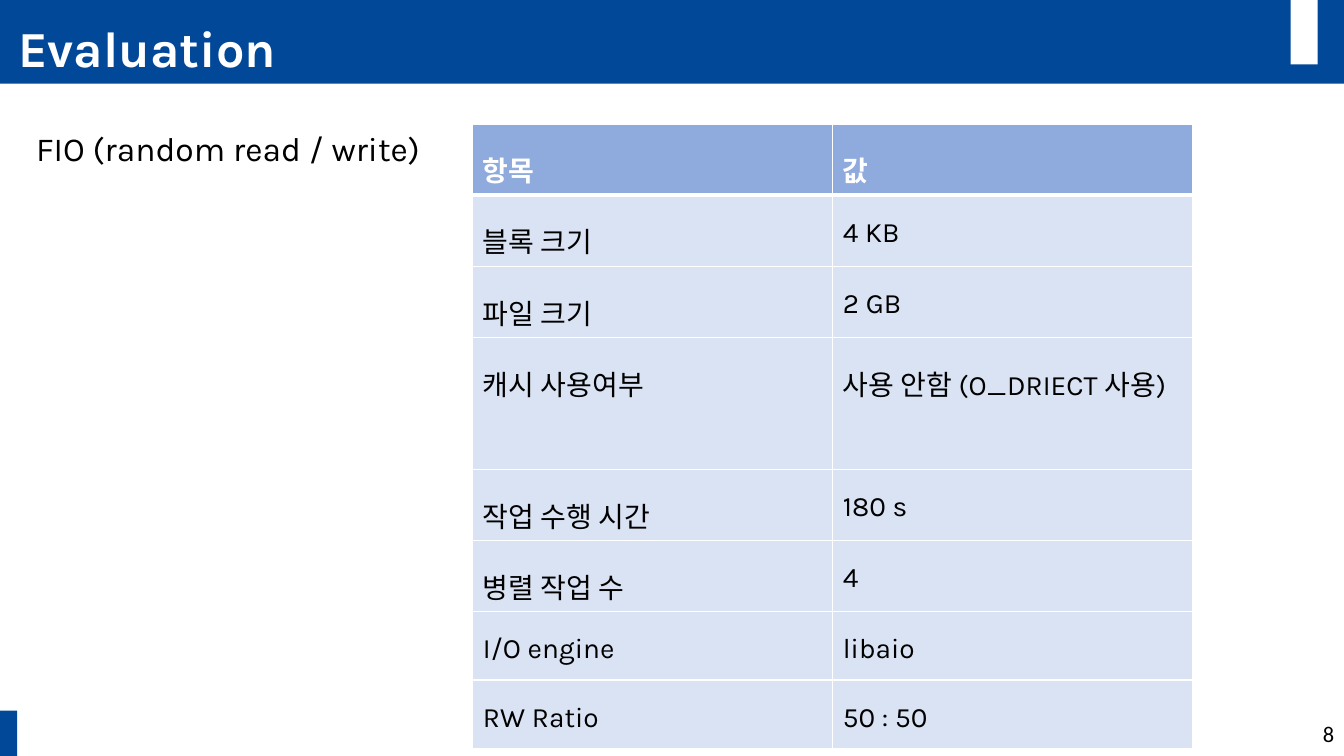
from dataclasses import dataclass

from lxml.etree import SubElement
from pptx import Presentation
from pptx.dml.color import RGBColor
from pptx.enum.shapes import MSO_SHAPE as Preset
from pptx.enum.text import MSO_ANCHOR as Anchor, MSO_AUTO_SIZE as AutoSize, PP_ALIGN as Align
from pptx.oxml.ns import qn
from pptx.util import Inches, Pt

BLUE, WHITE, BLACK = "014898", "FFFFFF", "000000"
HEADER_FILL, ROW_FILL = "8FAADC", "DAE3F3"


@dataclass
class Bar:
    left: float
    top: float
    width: float
    height: float
    color: str


@dataclass
class Setting:
    item: str
    value: str


BARS = [
    Bar(0, 0, 13.33, 0.83, BLUE),
    Bar(12.8, 0, 0.27, 0.64, WHITE),
    Bar(-0.01, 7.05, 0.18, 0.46, BLUE),
]

SETTINGS = [
    Setting("항목", "값"),
    Setting("블록 크기", "4 KB"),
    Setting("파일 크기", "2 GB"),
    Setting("캐시 사용여부", "사용 안함 (O_DRIECT 사용)"),
    Setting("작업 수행 시간", "180 s"),
    Setting("병렬 작업 수", "4"),
    Setting("I/O engine", "libaio"),
    Setting("RW Ratio", "50 : 50"),
]


def paint(fill, color: str) -> None:
    fill.solid()
    fill.fore_color.rgb = RGBColor.from_string(color)


def write(frame, text: str, *, size: float, color: str = BLACK, font: str = "Karla",
          bold: bool = False, align=Align.LEFT, spacing: float = 1.0) -> None:
    paragraph = frame.paragraphs[0]
    paragraph.alignment = align
    paragraph.line_spacing = spacing
    run = paragraph.add_run()
    run.text = text
    run.font.name = font
    run.font.size = Pt(size)
    run.font.bold = bold
    run.font.color.rgb = RGBColor.from_string(color)


def place(shape, left: float, top: float, width: float, height: float) -> None:
    shape.left, shape.top = Inches(left), Inches(top)
    shape.width, shape.height = Inches(width), Inches(height)


def draw_bar(slide, bar: Bar) -> None:
    shape = slide.shapes.add_shape(Preset.RECTANGLE, Inches(bar.left), Inches(bar.top),
                                   Inches(bar.width), Inches(bar.height))
    shape.shadow.inherit = False
    paint(shape.fill, bar.color)
    shape.line.fill.background()


def set_borders(cell, bottom: float) -> None:
    properties = cell._tc.get_or_add_tcPr()
    for side, width in (("L", 1), ("R", 1), ("T", 1), ("B", bottom)):
        line = SubElement(properties, qn(f"a:ln{side}"), w=str(Pt(width)))
        fill = SubElement(line, qn("a:solidFill"))
        SubElement(fill, qn("a:srgbClr"), val=WHITE)


def draw_settings(slide, settings: list[Setting]) -> None:
    table = slide.shapes.add_table(len(settings), 2, Inches(4.69), Inches(1.23),
                                   Inches(7.14), Inches(0.68 * len(settings))).table
    for column in table.columns:
        column.width = Inches(3.57)
    for index, setting in enumerate(settings):
        header = index == 0
        table.rows[index].height = Inches(0.68)
        for cell, text in zip(table.rows[index].cells, (setting.item, setting.value)):
            set_borders(cell, bottom=3 if header else 1)
            paint(cell.fill, HEADER_FILL if header else ROW_FILL)
            write(cell.text_frame, text, size=20, color=WHITE if header else BLACK,
                  bold=header, spacing=1.5)


def main() -> None:
    deck = Presentation()
    deck.slide_width, deck.slide_height = Inches(13.33), Inches(7.5)
    slide = deck.slides.add_slide(deck.slide_layouts[5])

    for bar in BARS:
        draw_bar(slide, bar)

    page_number = slide.shapes.add_textbox(Inches(10.33), Inches(7.08), Inches(3), Inches(0.4))
    page_number.text_frame.word_wrap = True
    page_number.text_frame.vertical_anchor = Anchor.MIDDLE
    write(page_number.text_frame, "8", size=16, font="Calibri", align=Align.RIGHT)

    heading = slide.shapes.title
    slide.shapes._spTree.append(heading._element)
    place(heading, 0.08, 0, 11.5, 0.83)
    heading.text_frame.auto_size = AutoSize.NONE
    heading.text_frame.vertical_anchor = Anchor.BOTTOM
    write(heading.text_frame, "Evaluation", size=36, color=WHITE, bold=True, spacing=0.9)

    draw_settings(slide, SETTINGS)

    workload = slide.shapes.add_textbox(Inches(0.26), Inches(1.22), Inches(4.04), Inches(0.5))
    workload.text_frame.word_wrap = True
    workload.text_frame.auto_size = AutoSize.SHAPE_TO_FIT_TEXT
    write(workload.text_frame, "FIO (random read / write)", size=24)

    deck.save("out.pptx")


if __name__ == "__main__":
    main()
